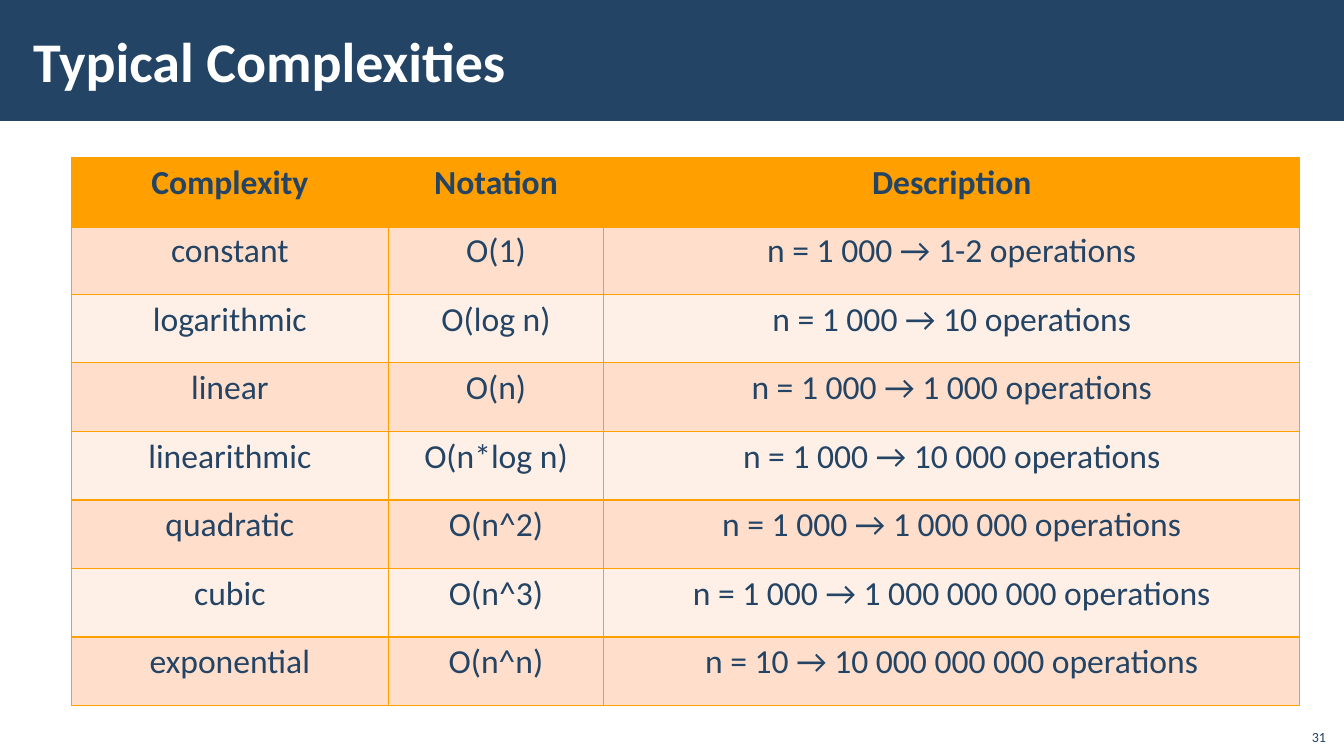
from lxml import etree
from pptx import Presentation
from pptx.dml.color import RGBColor
from pptx.enum.shapes import MSO_SHAPE
from pptx.enum.text import MSO_ANCHOR, PP_ALIGN
from pptx.oxml.ns import qn
from pptx.util import Inches, Pt

RECTANGLE = MSO_SHAPE.RECTANGLE
MIDDLE, BOTTOM = MSO_ANCHOR.MIDDLE, MSO_ANCHOR.BOTTOM
LEFT, CENTER, RIGHT = PP_ALIGN.LEFT, PP_ALIGN.CENTER, PP_ALIGN.RIGHT

NAVY = RGBColor(0x23, 0x44, 0x65)
WHITE = RGBColor(0xFF, 0xFF, 0xFF)
ORANGE = RGBColor(0xFF, 0xA0, 0x00)
PEACH = RGBColor(0xFF, 0xDF, 0xCC)
PALE_PEACH = RGBColor(0xFF, 0xF0, 0xE7)
FONT = "Calibri"

COLUMN_WIDTHS = (3.14, 2.14, 6.9)
ROW_HEIGHT = 0.68
COMPLEXITIES = (
    ("Complexity", "Notation", "Description"),
    ("constant", "O(1)", "n = 1 000 → 1-2 operations"),
    ("logarithmic", "O(log n)", "n = 1 000 → 10 operations"),
    ("linear", "O(n)", "n = 1 000 → 1 000 operations"),
    ("linearithmic", "O(n*log n)", "n = 1 000 → 10 000 operations"),
    ("quadratic", "O(n^2)", "n = 1 000 → 1 000 000 operations"),
    ("cubic", "O(n^3)", "n = 1 000 → 1 000 000 000 operations"),
    ("exponential", "O(n^n)", "n = 10 → 10 000 000 000 operations"),
)


def write(frame, text, size, color, align, bold=False):
    paragraph = frame.paragraphs[0]
    paragraph.alignment = align
    run = paragraph.add_run()
    run.text = text
    run.font.name = FONT
    run.font.size = Pt(size)
    run.font.bold = bold
    run.font.color.rgb = color


def add_label(slide, box, anchor, side_inset, text, *style):
    frame = slide.shapes.add_textbox(*map(Inches, box)).text_frame
    frame.word_wrap = True
    frame.vertical_anchor = anchor
    frame.margin_left = frame.margin_right = Inches(side_inset)
    write(frame, text, *style)


def add_title_band(slide):
    band = slide.shapes.add_shape(RECTANGLE, 0, 0, Inches(13.33), Inches(1.2))
    band.shadow.inherit = False
    band.fill.solid()
    band.fill.fore_color.rgb = NAVY
    band.line.fill.background()


def set_borders(cell, bottom_width):
    """Outline the cell in orange; call before filling, as lines precede fills."""
    properties = cell._tc.get_or_add_tcPr()
    for side, width in (("L", 1), ("R", 1), ("T", 1), ("B", bottom_width)):
        line = etree.SubElement(properties, qn(f"a:ln{side}"), w=str(Pt(width)))
        fill = etree.SubElement(line, qn("a:solidFill"))
        etree.SubElement(fill, qn("a:srgbClr"), val=str(ORANGE))


def add_complexity_table(slide):
    table = slide.shapes.add_table(
        len(COMPLEXITIES), len(COLUMN_WIDTHS), Inches(0.71), Inches(1.56),
        Inches(sum(COLUMN_WIDTHS)), Inches(ROW_HEIGHT * len(COMPLEXITIES)),
    ).table
    for column, width in zip(table.columns, COLUMN_WIDTHS):
        column.width = Inches(width)
    for row_index, (row, texts) in enumerate(zip(table.rows, COMPLEXITIES)):
        row.height = Inches(ROW_HEIGHT)
        is_header = row_index == 0
        band_color = PEACH if row_index % 2 else PALE_PEACH
        for cell, text in zip(row.cells, texts):
            set_borders(cell, 3 if is_header else 1)
            cell.fill.solid()
            cell.fill.fore_color.rgb = ORANGE if is_header else band_color
            write(cell.text_frame, text, 24, NAVY, CENTER, is_header)


def main():
    presentation = Presentation()
    presentation.slide_width = Inches(13.33)
    presentation.slide_height = Inches(7.5)
    slide = presentation.slides.add_slide(presentation.slide_layouts[6])
    add_title_band(slide)
    add_label(slide, (0.21, 0.11, 10.63, 0.97), MIDDLE, 0.12,
              "Typical Complexities", 40, WHITE, LEFT, True)
    add_complexity_table(slide)
    add_label(slide, (12.85, 7.12, 0.4, 0.32), BOTTOM, 0.1, "31", 10, NAVY, RIGHT)
    presentation.save("out.pptx")


if __name__ == "__main__":
    main()
